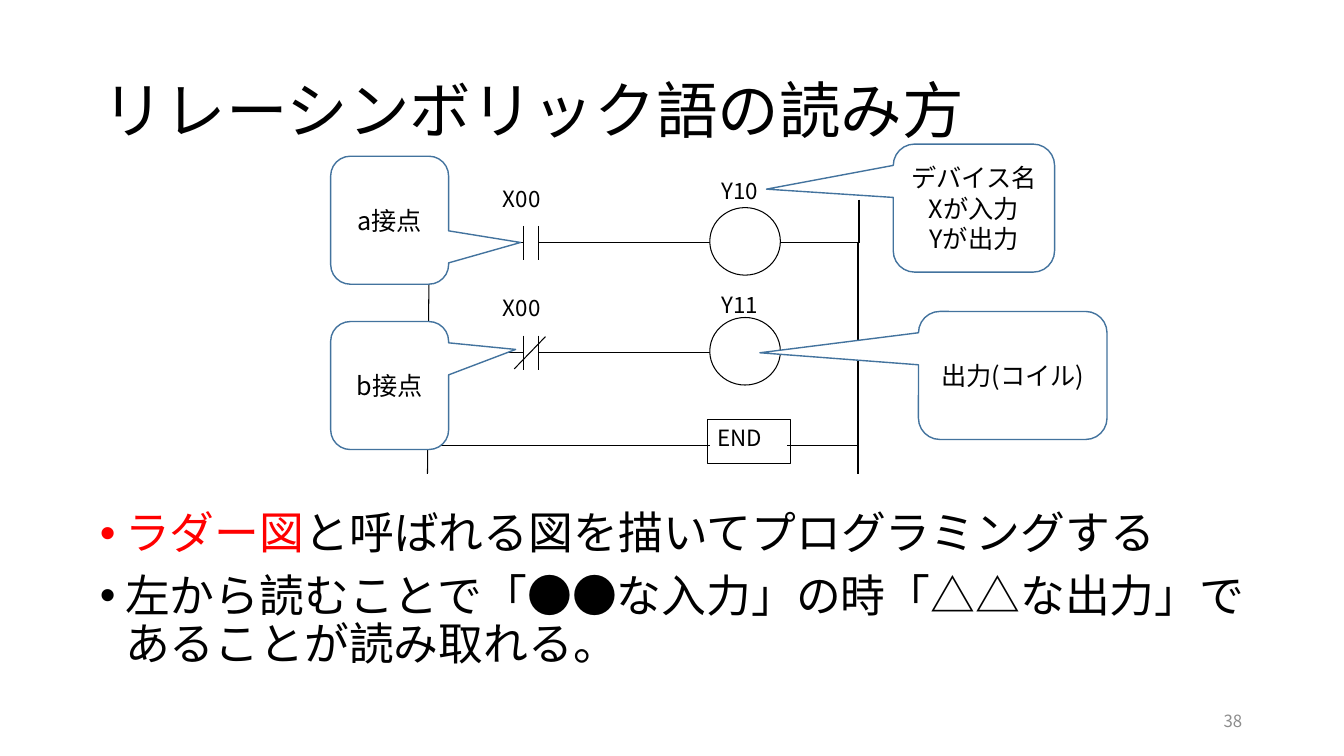
"""Build the slide on how to read relay symbolic language."""
from dataclasses import dataclass

from lxml.etree import SubElement
from pptx import Presentation
from pptx.dml.color import RGBColor
from pptx.enum.shapes import MSO_CONNECTOR, MSO_SHAPE
from pptx.enum.text import MSO_ANCHOR, MSO_AUTO_SIZE, PP_ALIGN
from pptx.oxml.ns import qn
from pptx.util import Inches, Pt


@dataclass(frozen=True)
class Theme:
    font: str = "Noto Sans CJK JP"
    ink: str = "000000"
    accent: str = "FF0000"
    paper: str = "FFFFFF"
    callout: str = "43739E"
    muted: str = "8C8C8C"
    title: int = 44
    body: int = 32
    note: int = 18
    label: int = 16
    number: int = 12


THEME = Theme()
TITLE = "リレーシンボリック語の読み方"
BULLETS = [
    [("ラダー図", THEME.accent), ("と呼ばれる図を描いてプログラミングする", THEME.ink)],
    [("左から読むことで「●●な入力」の時「△△な出力」であることが読み取れる。", THEME.ink)],
]
PAGE_NUMBER = "38"
RUNGS = [
    {"y": 2.41, "closed": False, "labels": [("X00", 4.89, 1.79), ("Y10", 7.06, 1.71)]},
    {"y": 3.5, "closed": True, "labels": [("X00", 4.89, 2.87), ("Y11", 7.06, 2.84)]},
]
CALLOUTS = [
    (["デバイス名", "Xが入力", "Yが出力"], (8.86, 1.43, 1.6, 1.27), (-1.286, -0.148)),
    (["a接点"], (3.28, 1.55, 1.17, 1.27), (1.11, 0.174)),
    (["b接点"], (3.28, 3.19, 1.17, 1.27), (1.068, -0.282)),
    (["出力(コイル)"], (9.11, 3.09, 1.87, 1.27), (-1.341, -0.177)),
]
LEFT_RAIL, RIGHT_RAIL = 4.26, 8.51
RAIL_TOP, RAIL_BOTTOM = 1.98, 4.7
CONTACT = (5.19, 5.34)
CONTACT_REACH = 0.17
COIL_LEFT, COIL_WIDTH, COIL_HEIGHT, COIL_RISE = 7.04, 0.7, 0.67, 0.35
END_BOX = (7.02, 4.16, 0.82, 0.44)
END_WIRE = 4.42


def inches(values):
    return [Inches(value) for value in values]


def format_span(span, size, color):
    span.font.name = THEME.font
    span.font.size = Pt(size)
    span.font.color.rgb = RGBColor.from_string(color)
    SubElement(span.font._element, qn("a:ea")).set("typeface", THEME.font)


def write(shape, lines, size, color=THEME.ink, align=PP_ALIGN.LEFT, anchor=MSO_ANCHOR.TOP):
    frame = shape.text_frame
    frame.word_wrap = True
    frame.auto_size = MSO_AUTO_SIZE.NONE
    frame.vertical_anchor = anchor
    frame.text = "\n".join(lines)
    for para in frame.paragraphs:
        para.alignment = align
        for span in para.runs:
            format_span(span, size, color)


def place(shape, area):
    shape.left, shape.top, shape.width, shape.height = inches(area)


def add_wire(page, *ends):
    wire = page.shapes.add_connector(MSO_CONNECTOR.STRAIGHT, *inches(ends))
    wire.line.color.rgb = RGBColor.from_string(THEME.ink)
    wire.line.width = Pt(0.75)
    SubElement(wire._element.spPr, qn("a:effectLst"))


def add_outline(page, kind, area, color=THEME.ink, width=0.75):
    shape = page.shapes.add_shape(kind, *inches(area))
    shape.shadow.inherit = False
    shape.fill.solid()
    shape.fill.fore_color.rgb = RGBColor.from_string(THEME.paper)
    shape.line.color.rgb = RGBColor.from_string(color)
    shape.line.width = Pt(width)
    return shape


def add_title(page):
    title = page.shapes.title
    place(title, (0.92, 0.4, 11.5, 1.45))
    write(title, [TITLE], THEME.title, anchor=MSO_ANCHOR.MIDDLE)
    title.text_frame.paragraphs[0].line_spacing = 0.9


def add_bullets(page):
    body = page.placeholders[1]
    place(body, (0.89, 5.02, 11.98, 2.38))
    frame = body.text_frame
    frame.auto_size = MSO_AUTO_SIZE.NONE
    for index, pieces in enumerate(BULLETS):
        para = frame.add_paragraph() if index else frame.paragraphs[0]
        para.line_spacing = 0.9
        para.space_before = Pt(10 if index else 0)
        properties = para._p.get_or_add_pPr()
        properties.set("marL", str(Inches(0.25)))
        properties.set("indent", str(-Inches(0.25)))
        SubElement(properties, qn("a:buFont")).set("typeface", "Arial")
        SubElement(properties, qn("a:buChar")).set("char", "•")
        for text, color in pieces:
            span = para.add_run()
            span.text = text
            format_span(span, THEME.body, color)


def add_rung(page, y, closed, labels):
    first, second = CONTACT
    coil_right = COIL_LEFT + COIL_WIDTH
    for start, end in [(LEFT_RAIL, first), (second, COIL_LEFT), (coil_right, RIGHT_RAIL)]:
        add_wire(page, start, y, end, y)
    for x in CONTACT:
        add_wire(page, x, y - CONTACT_REACH, x, y + CONTACT_REACH)
    if closed:
        add_wire(page, 5.41, y - 0.16, 5.1, y + 0.16)
    add_outline(page, MSO_SHAPE.OVAL, (COIL_LEFT, y - COIL_RISE, COIL_WIDTH, COIL_HEIGHT))
    for text, left, top in labels:
        box = page.shapes.add_textbox(*inches((left, top, 0.84, 0.44)))
        write(box, [text], THEME.label)


def add_ladder(page):
    first_rung = RUNGS[0]["y"]
    add_wire(page, LEFT_RAIL, RAIL_TOP, LEFT_RAIL - 0.02, RAIL_BOTTOM)
    add_wire(page, RIGHT_RAIL + 0.01, RAIL_TOP, RIGHT_RAIL + 0.01, first_rung)
    add_wire(page, RIGHT_RAIL, first_rung, RIGHT_RAIL, RAIL_BOTTOM)
    for rung in RUNGS:
        add_rung(page, **rung)
    end = add_outline(page, MSO_SHAPE.RECTANGLE, END_BOX)
    write(end, ["END"], THEME.label)
    add_wire(page, COIL_LEFT, END_WIRE, LEFT_RAIL, END_WIRE)
    add_wire(page, 7.81, END_WIRE, RIGHT_RAIL, END_WIRE)


def add_callouts(page):
    for lines, area, tip in CALLOUTS:
        callout = add_outline(page, MSO_SHAPE.ROUNDED_RECTANGULAR_CALLOUT, area, THEME.callout, 1)
        for index, value in enumerate((*tip, 0.167)):
            callout.adjustments[index] = value
        write(callout, lines, THEME.note, align=PP_ALIGN.CENTER, anchor=MSO_ANCHOR.MIDDLE)


def main():
    deck = Presentation()
    deck.slide_width, deck.slide_height = Inches(13.33), Inches(7.5)
    page = deck.slides.add_slide(deck.slide_layouts[1])
    add_title(page)
    add_bullets(page)
    add_ladder(page)
    add_callouts(page)
    number = page.shapes.add_textbox(*inches((9.42, 6.95, 3, 0.4)))
    write(number, [PAGE_NUMBER], THEME.number, THEME.muted, PP_ALIGN.RIGHT, MSO_ANCHOR.MIDDLE)
    deck.save("out.pptx")


if __name__ == "__main__":
    main()
